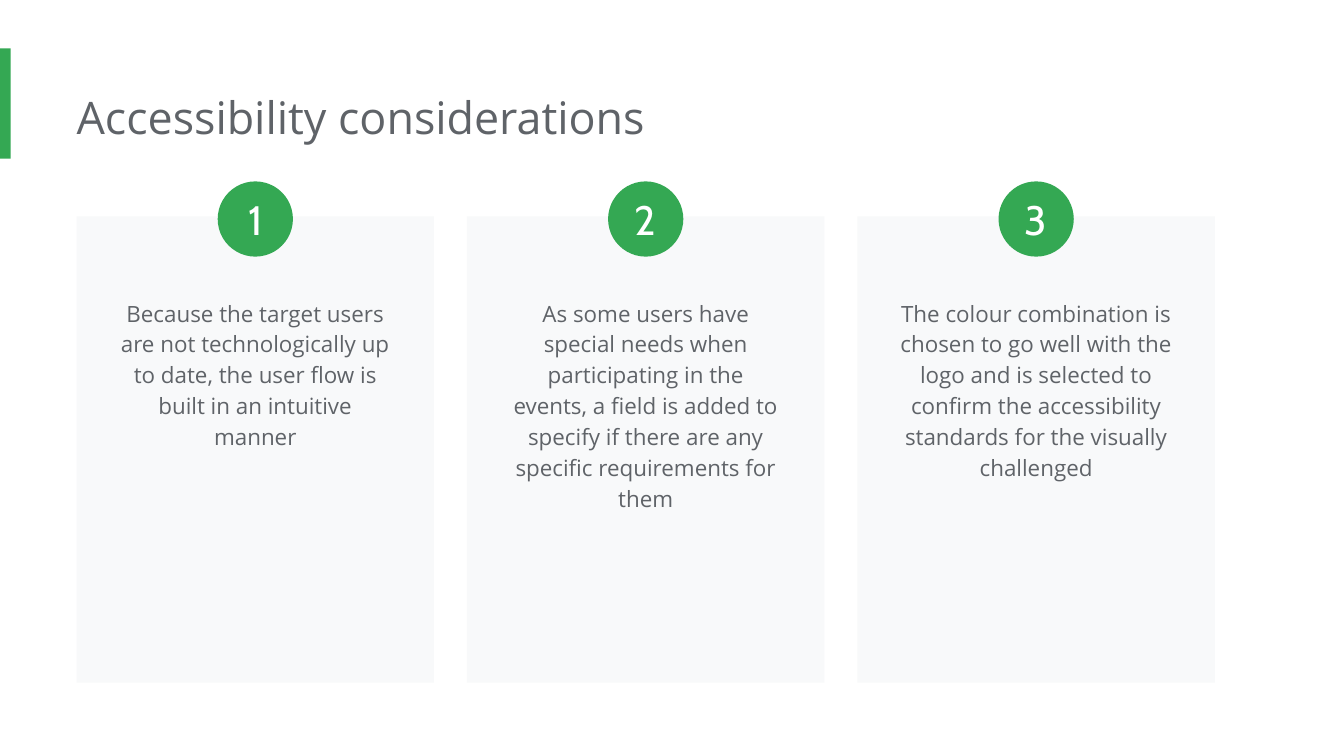
"""Build the accessibility considerations slide with three numbered cards."""
from pptx import Presentation
from pptx.dml.color import RGBColor
from pptx.enum.shapes import MSO_SHAPE
from pptx.enum.text import MSO_ANCHOR, MSO_AUTO_SIZE, PP_ALIGN
from pptx.util import Inches, Pt

RECTANGLE, OVAL = MSO_SHAPE.RECTANGLE, MSO_SHAPE.OVAL
TOP, MIDDLE = MSO_ANCHOR.TOP, MSO_ANCHOR.MIDDLE
LEFT, CENTER = PP_ALIGN.LEFT, PP_ALIGN.CENTER
GROW, FIXED = MSO_AUTO_SIZE.SHAPE_TO_FIT_TEXT, MSO_AUTO_SIZE.NONE

TITLE = "Accessibility considerations"
CONSIDERATIONS = [
    "Because the target users are not technologically up to date, "
    "the user flow is built in an intuitive manner",
    "As some users have special needs when participating in the events, "
    "a field is added to specify if there are any specific requirements for them",
    "The colour combination is chosen to go well with the logo and is selected "
    "to confirm the accessibility standards for the visually challenged",
]
TEXT_HEIGHTS = [1.36, 1.83, 1.6]

GREEN, GREY, PALE, WHITE = "34A853", "5F6368", "F8F9FA", "FFFFFF"
SLIDE_WIDTH = 10
SLIDE_HEIGHT = SLIDE_WIDTH * 9 / 16
MARGIN_LEFT, CONTENT_RIGHT = 0.57, 9.04
CARD_TOP, CARD_WIDTH, CARD_HEIGHT = 1.61, 2.66, 3.47
TEXT_TOP, TEXT_WIDTH = 2.1, 2.24
BADGE_TOP, BADGE_SIZE = 1.35, 0.56
CARD_PITCH = (CONTENT_RIGHT - MARGIN_LEFT - CARD_WIDTH) / (len(CONSIDERATIONS) - 1)

TITLE_FORMAT = {
    "frame": {"vertical_anchor": TOP, "auto_size": GROW},
    "paragraph": {"alignment": LEFT},
    "font": {"name": "Open Sans", "size": Pt(24)},
    "color": GREY,
    "insets": (0, 0.1, 0.1, 0.1),
}
BODY_FORMAT = {
    "frame": {"vertical_anchor": TOP, "auto_size": GROW},
    "paragraph": {"alignment": CENTER, "line_spacing": 1.15},
    "font": {"name": "Open Sans", "size": Pt(12)},
    "color": GREY,
    "insets": (0.1, 0.1, 0.1, 0.1),
}
BADGE_FORMAT = {
    "frame": {"vertical_anchor": MIDDLE, "auto_size": FIXED},
    "paragraph": {"alignment": CENTER},
    "font": {"name": "Cabin", "size": Pt(22)},
    "color": WHITE,
    "insets": (0, 0, 0, 0),
}


def set_color(color_format, value):
    color_format.rgb = RGBColor.from_string(value)


def set_values(target, values):
    for name, value in values.items():
        setattr(target, name, value)


def write_text(shape, text, text_format):
    frame = shape.text_frame
    frame.text = text
    frame.word_wrap = True
    set_values(frame, text_format["frame"])
    sides = ("margin_left", "margin_top", "margin_right", "margin_bottom")
    set_values(frame, dict(zip(sides, map(Inches, text_format["insets"]))))
    paragraph = frame.paragraphs[0]
    set_values(paragraph, text_format["paragraph"])
    font = paragraph.runs[0].font
    set_values(font, text_format["font"])
    set_color(font.color, text_format["color"])


def add_block(slide, kind, box, fill):
    shape = slide.shapes.add_shape(kind, *map(Inches, box))
    shape.shadow.inherit = False
    shape.fill.solid()
    set_color(shape.fill.fore_color, fill)
    shape.line.fill.background()
    return shape


def add_title(slide):
    box = map(Inches, (MARGIN_LEFT, 0.57, 7.66, 0.61))
    title = slide.shapes.title
    set_values(title, dict(zip(("left", "top", "width", "height"), box)))
    write_text(title, TITLE, TITLE_FORMAT)


def add_card(slide, left, text, text_height):
    add_block(slide, RECTANGLE, (left, CARD_TOP, CARD_WIDTH, CARD_HEIGHT), PALE)
    text_left = left + (CARD_WIDTH - TEXT_WIDTH) / 2
    box = (text_left, TEXT_TOP, TEXT_WIDTH, text_height)
    write_text(slide.shapes.add_textbox(*map(Inches, box)), text, BODY_FORMAT)


def add_badge(slide, card_left, number):
    left = card_left + (CARD_WIDTH - BADGE_SIZE) / 2
    badge = add_block(slide, OVAL, (left, BADGE_TOP, BADGE_SIZE, BADGE_SIZE), GREEN)
    write_text(badge, str(number), BADGE_FORMAT)


def main():
    presentation = Presentation()
    presentation.slide_width = Inches(SLIDE_WIDTH)
    presentation.slide_height = Inches(SLIDE_HEIGHT)
    slide = presentation.slides.add_slide(presentation.slide_layouts[5])
    slide.background.fill.solid()
    set_color(slide.background.fill.fore_color, WHITE)

    add_title(slide)
    add_block(slide, RECTANGLE, (0, 0.36, 0.08, 0.82), GREEN)
    card_lefts = [MARGIN_LEFT + index * CARD_PITCH for index in range(len(CONSIDERATIONS))]
    for left, text, text_height in zip(card_lefts, CONSIDERATIONS, TEXT_HEIGHTS):
        add_card(slide, left, text, text_height)
    for number, left in enumerate(card_lefts, start=1):
        add_badge(slide, left, number)
    presentation.save("out.pptx")


if __name__ == "__main__":
    main()
